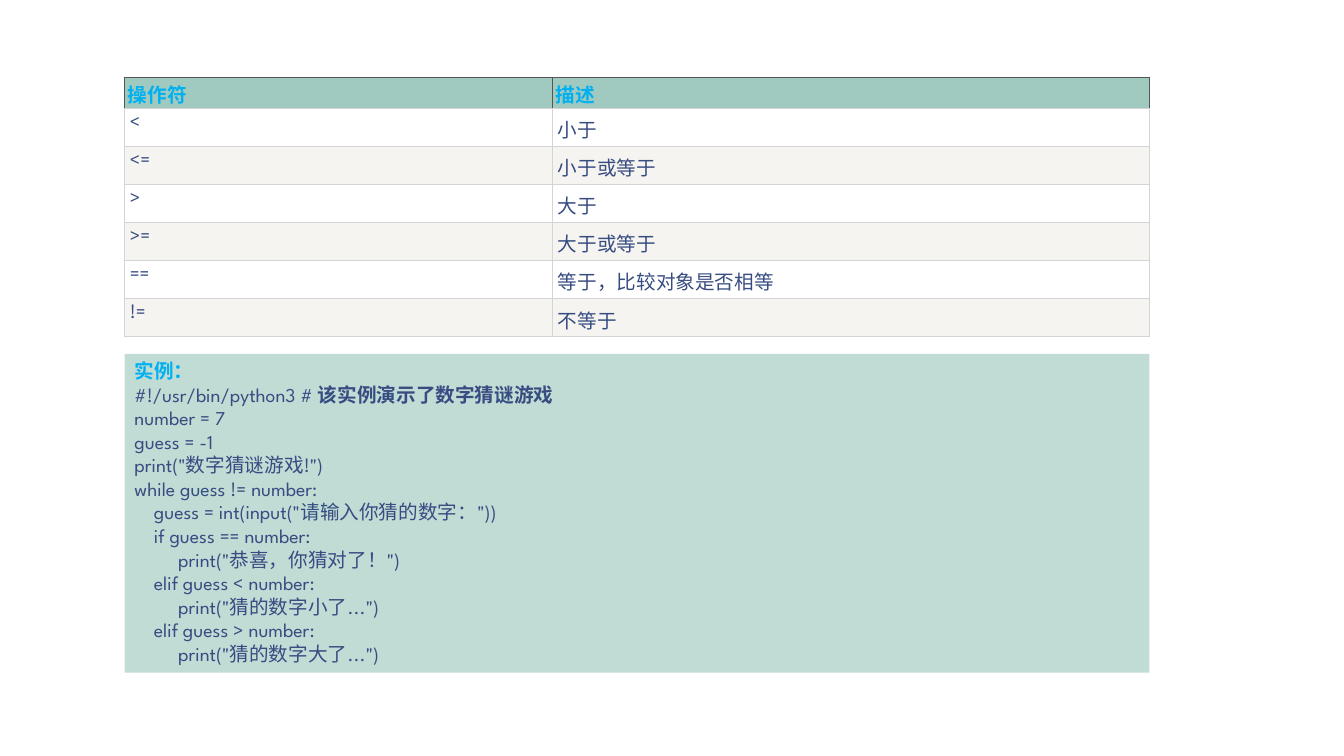
from lxml.etree import SubElement
from pptx import Presentation
from pptx.dml.color import RGBColor
from pptx.enum.shapes import MSO_SHAPE as Shape
from pptx.enum.text import MSO_ANCHOR as Anchor, PP_ALIGN as Align
from pptx.oxml.ns import qn
from pptx.util import Cm, Pt

OPERATORS = [
    ("操作符", "描述"),
    ("<", "小于"),
    ("<=", "小于或等于"),
    (">", "大于"),
    (">=", "大于或等于"),
    ("==", "等于，比较对象是否相等"),
    ("!=", "不等于"),
]
EXAMPLE_TITLE = "实例："
SHEBANG = "#!/usr/bin/python3 # "
SUMMARY = "该实例演示了数字猜谜游戏"
CODE = [
    "number = 7",
    "guess = -1",
    'print("数字猜谜游戏!")',
    "while guess != number:",
    '    guess = int(input("请输入你猜的数字："))',
    "    if guess == number:",
    '         print("恭喜，你猜对了！")',
    "    elif guess < number:",
    '         print("猜的数字小了...")',
    "    elif guess > number:",
    '         print("猜的数字大了...")',
]

FONT = "League Spartan"
SKY = RGBColor(0x00, 0xB0, 0xF0)
NAVY = RGBColor(0x37, 0x4C, 0x81)
PALE_GREEN = RGBColor(0xC0, 0xDC, 0xD5)
HEADER_GREEN = RGBColor(0xA0, 0xCA, 0xC0)
WHITE = RGBColor(0xFF, 0xFF, 0xFF)
CREAM = RGBColor(0xF6, 0xF4, 0xF0)
GREY = RGBColor(0xD4, 0xD4, 0xD4)
DARK_GREY = RGBColor(0x55, 0x55, 0x55)

LEFT, WIDTH = Cm(3.14), Cm(25.83)
TABLE_TOP, CODE_TOP, CODE_HEIGHT = Cm(1.96), Cm(8.92), Cm(8.03)
COLUMN_WIDTHS = Cm(10.79), Cm(15.04)
HEADER_HEIGHT, ROW_HEIGHT = Cm(0.76), Cm(0.96)
HEADER_MARGINS = Cm(0.08), Cm(0.04), Cm(0)
ROW_MARGINS = Cm(0.13), Cm(0.17), Cm(0.06)


def add_run(paragraph, text, color=NAVY, bold=False):
    """Append one formatted run to a paragraph."""
    run = paragraph.add_run()
    run.text = text
    font = run.font
    font.name, font.size, font.bold = FONT, Pt(14), bold
    font.color.rgb = color


def set_borders(cell, is_header):
    """Draw the four thin borders of a cell, ahead of its fill."""
    properties = cell._tc.get_or_add_tcPr()
    for side in ("L", "R", "T", "B"):
        color = DARK_GREY if is_header and side != "B" else GREY
        line = SubElement(properties, qn(f"a:ln{side}"), w=str(Pt(0.75)))
        fill = SubElement(line, qn("a:solidFill"))
        SubElement(fill, qn("a:srgbClr"), val=str(color))


def add_operator_table(slide):
    """Add the table of comparison operators."""
    height = HEADER_HEIGHT + ROW_HEIGHT * (len(OPERATORS) - 1)
    table = slide.shapes.add_table(
        len(OPERATORS), len(COLUMN_WIDTHS), LEFT, TABLE_TOP, WIDTH, height
    ).table
    for column, width in zip(table.columns, COLUMN_WIDTHS):
        column.width = width
    for row_index, texts in enumerate(OPERATORS):
        is_header = row_index == 0
        table.rows[row_index].height = HEADER_HEIGHT if is_header else ROW_HEIGHT
        side_margin, top_margin, bottom_margin = HEADER_MARGINS if is_header else ROW_MARGINS
        background = HEADER_GREEN if is_header else (CREAM, WHITE)[row_index % 2]
        for column_index, text in enumerate(texts):
            cell = table.cell(row_index, column_index)
            cell.margin_left = cell.margin_right = side_margin
            cell.margin_top, cell.margin_bottom = top_margin, bottom_margin
            cell.vertical_anchor = Anchor.TOP
            set_borders(cell, is_header)
            cell.fill.solid()
            cell.fill.fore_color.rgb = background
            add_run(cell.text_frame.paragraphs[0], text, SKY if is_header else NAVY, is_header)


def add_example(slide):
    """Add the panel with the example program."""
    panel = slide.shapes.add_shape(Shape.RECTANGLE, LEFT, CODE_TOP, WIDTH, CODE_HEIGHT)
    panel.shadow.inherit = False
    panel.fill.solid()
    panel.fill.fore_color.rgb = PALE_GREEN
    panel.line.fill.background()
    frame = panel.text_frame
    frame.word_wrap = True
    frame.vertical_anchor = Anchor.TOP
    lines = [
        [(EXAMPLE_TITLE, SKY, True)],
        [(SHEBANG,), (SUMMARY, NAVY, True)],
        *([(code,)] for code in CODE),
    ]
    for index, runs in enumerate(lines):
        paragraph = frame.add_paragraph() if index else frame.paragraphs[0]
        paragraph.alignment = Align.LEFT
        paragraph.line_spacing = Pt(16.85)
        for run in runs:
            add_run(paragraph, *run)


def main():
    """Build the slide on comparison operators."""
    presentation = Presentation()
    presentation.slide_width, presentation.slide_height = Cm(33.87), Cm(19.05)
    slide = presentation.slides.add_slide(presentation.slide_layouts[6])
    add_operator_table(slide)
    add_example(slide)
    presentation.save("out.pptx")


if __name__ == "__main__":
    main()
